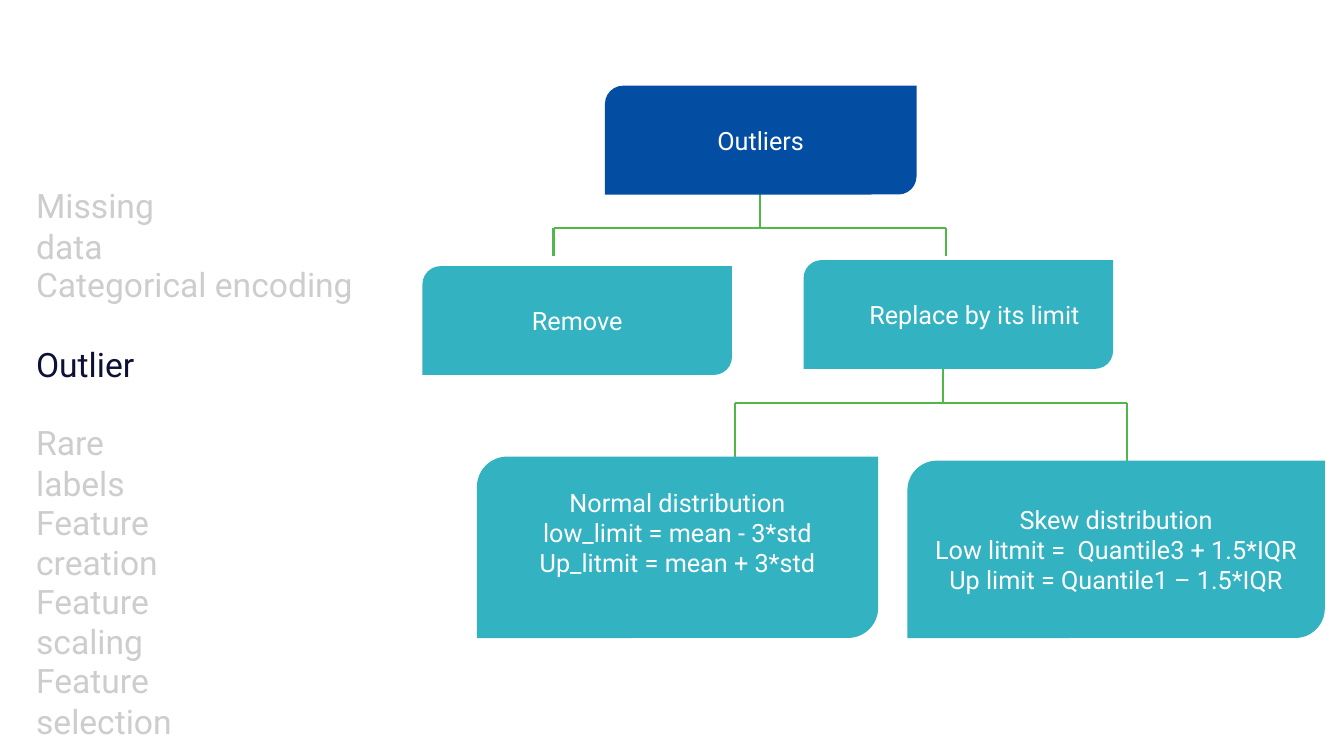
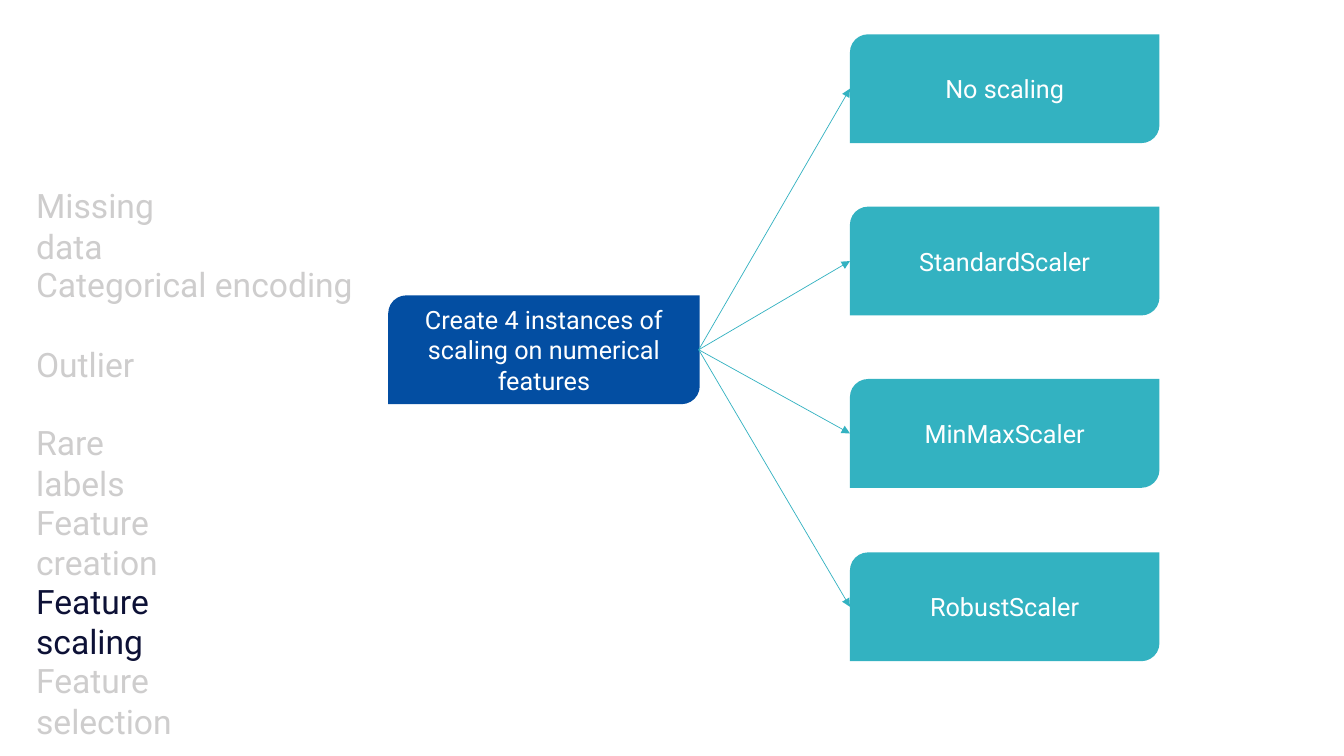
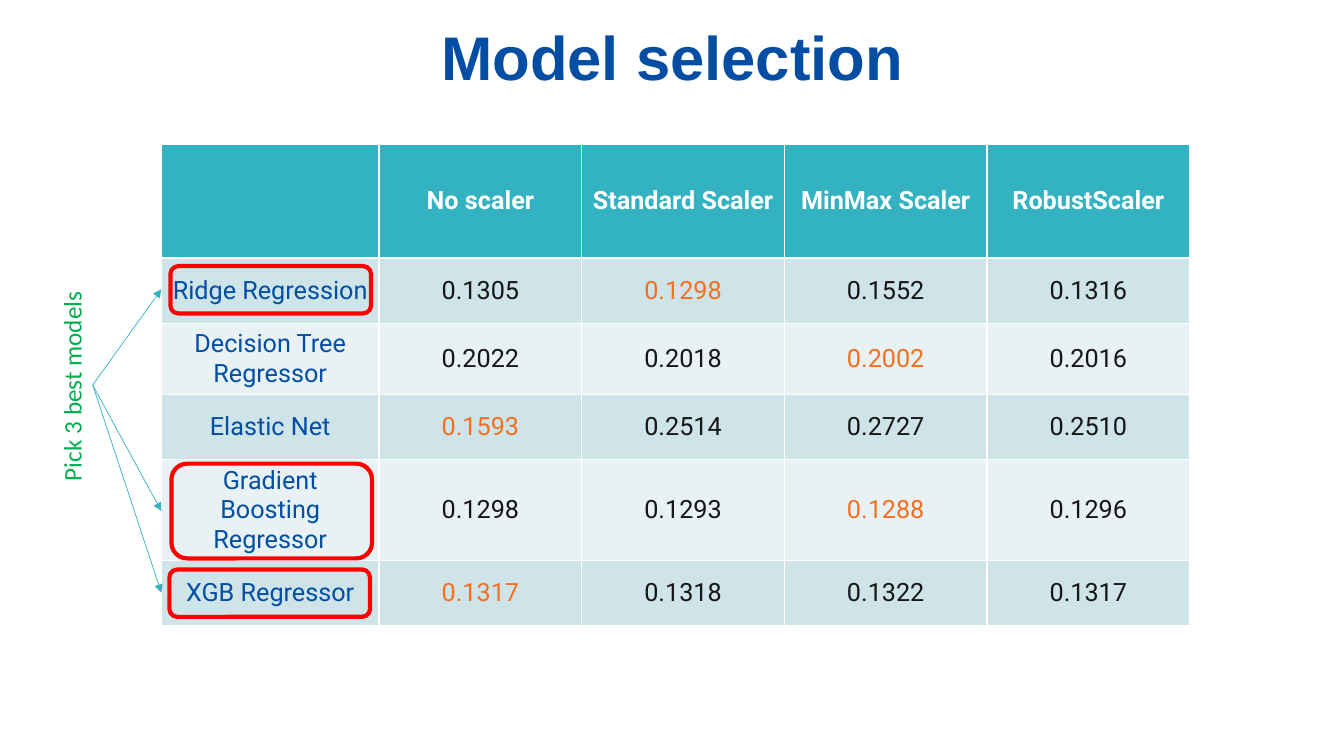
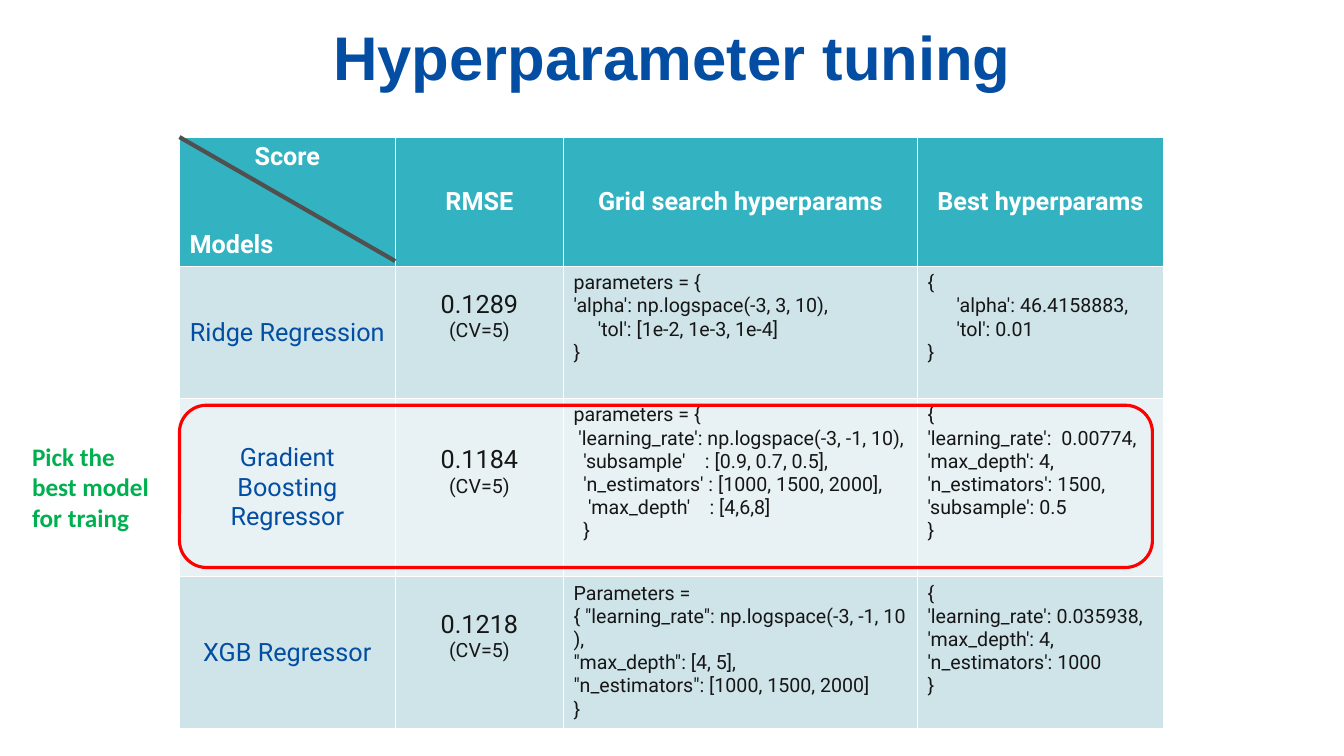
from lxml.etree import SubElement
from pptx import Presentation
from pptx.dml.color import RGBColor
from pptx.enum.shapes import MSO_CONNECTOR as Link, MSO_SHAPE as Form
from pptx.enum.text import MSO_ANCHOR as Anchor, PP_ALIGN as Align
from pptx.oxml.ns import qn
from pptx.util import Pt

SCALE = 9144
HUES = {
    "navy": "034EA2", "teal": "33B2C1", "leaf": "50B848", "green": "00B050",
    "red": "FF0000", "pale": "CECDCD", "dark": "0D1136", "ink": "171616",
    "gold": "F37021", "slate": "524F4F", "white": "FFFFFF",
    "odd": "CEE4E9", "even": "E8F2F4",
}
STEPS = ["Missing data", "Categorical encoding", "Outlier", "Rare labels",
         "Feature creation", "Feature scaling", "Feature selection"]
SCORES = [
    ["", "No scaler", "Standard Scaler", "MinMax Scaler", "RobustScaler"],
    ["Ridge Regression", "0.1305", "0.1298", "0.1552", "0.1316"],
    ["Decision Tree Regressor", "0.2022", "0.2018", "0.2002", "0.2016"],
    ["Elastic Net", "0.1593", "0.2514", "0.2727", "0.2510"],
    ["Gradient Boosting Regressor", "0.1298", "0.1293", "0.1288", "0.1296"],
    ["XGB Regressor", "0.1317", "0.1318", "0.1322", "0.1317"],
]
TUNING = [
    ["Score\nModels", "RMSE", "Grid search hyperparams", "Best hyperparams"],
    ["Ridge Regression", "0.1289\n(CV=5)", """parameters = {
'alpha': np.logspace(-3, 3, 10),
     'tol': [1e-2, 1e-3, 1e-4]
}""", """{
      'alpha': 46.4158883,
      'tol': 0.01
}"""],
    ["Gradient Boosting Regressor", "0.1184\n(CV=5)", """parameters = {
 'learning_rate': np.logspace(-3, -1, 10),
  'subsample'    : [0.9, 0.7, 0.5],
  'n_estimators' : [1000, 1500, 2000],
   'max_depth'    : [4,6,8]
  }""", """{
'learning_rate':  0.00774,
'max_depth': 4,
'n_estimators': 1500,
'subsample': 0.5
}"""],
    ["XGB Regressor", "0.1218\n(CV=5)", """Parameters =
{ "learning_rate": np.logspace(-3, -1, 10
),
"max_depth": [4, 5],
"n_estimators": [1000, 1500, 2000]
}""", """{
'learning_rate': 0.035938,
'max_depth': 4,
'n_estimators': 1000
}"""],
]


def px(*nums):
    return [round(num * SCALE) for num in nums]


def tint(name):
    return RGBColor.from_string(HUES[name])


def style(item, form):
    for key, val in form.items():
        setattr(item, key, val)


def write(frame, text, hue, size=18, face="Roboto", bold=False, align=Align.CENTER):
    frame.text = text
    for para in frame.paragraphs:
        para.alignment = align
        for run in para.runs:
            style(run.font, {"name": face, "size": Pt(size), "bold": bold})
            run.font.color.rgb = tint(hue)


def label(slide, area, text, hue, form=None, **kind):
    box = slide.shapes.add_textbox(*px(*area))
    style(box.text_frame, {"word_wrap": True, **(form or {})})
    write(box.text_frame, text, hue, **kind)
    return box


def title(slide, text):
    box = label(slide, (92, 21, 1150, 78), text, "navy",
                {"vertical_anchor": Anchor.MIDDLE}, size=44, face="Arial", bold=True)
    box.text_frame.paragraphs[0].line_spacing = 0.9


def menu(slide, now):
    for row, step in enumerate(STEPS):
        wide = 336 if step == "Categorical encoding" else 165
        label(slide, (26, 179 + row * 157 // 2, wide, 50), step,
              "dark" if step == now else "pale", size=24, align=Align.LEFT)


def card(slide, area, text, hue="teal", form=None):
    box = slide.shapes.add_shape(Form.ROUND_2_DIAG_RECTANGLE, *px(*area))
    box.shadow.inherit = False
    box.fill.solid()
    box.fill.fore_color.rgb = tint(hue)
    box.line.fill.background()
    style(box.text_frame, {"word_wrap": True, "vertical_anchor": Anchor.MIDDLE,
                           **(form or {})})
    write(box.text_frame, text, "white")


def ring(slide, area, width):
    box = slide.shapes.add_shape(Form.ROUNDED_RECTANGLE, *px(*area))
    box.shadow.inherit = False
    box.fill.background()
    box.line.color.rgb = tint("red")
    box.line.width = Pt(width)


def line(slide, start, end, hue, width, head=False):
    link = slide.shapes.add_connector(Link.STRAIGHT, *px(*start, *end))
    link.line.color.rgb = tint(hue)
    link.line.width = Pt(width)
    if head:
        SubElement(link.line._get_or_add_ln(), qn("a:tailEnd"), type="triangle")
    SubElement(link._element.spPr, qn("a:effectLst"))


def fan(slide, start, ends):
    for end in ends:
        line(slide, start, end, "teal", 0.5, True)


def fork(slide, left, right, rail, stem, top, base):
    for start, end in [((left, rail), (right, rail)), ((stem, top), (stem, rail)),
                       ((left, rail), (left, base)), ((right, rail), (right, base))]:
        line(slide, start, end, "leaf", 1.5)


def grid(slide, spot, cols, rows, data, paint):
    area = px(*spot, sum(cols), sum(rows))
    table = slide.shapes.add_table(len(rows), len(cols), *area).table
    for col, wide in zip(table.columns, px(*cols)):
        col.width = wide
    for row, tall in zip(table.rows, px(*rows)):
        row.height = tall
    for y, vals in enumerate(data):
        for x, text in enumerate(vals):
            cell = table.cell(y, x)
            cell.fill.solid()
            cell.fill.fore_color.rgb = tint("teal" if y == 0 else "odd" if y % 2 else "even")
            cell.vertical_anchor = Anchor.MIDDLE
            if y == 0:
                write(cell.text_frame, text, "white", bold=True)
            elif x == 0:
                write(cell.text_frame, text, "navy")
            else:
                paint(cell, x, vals)
    return table


def score(cell, x, vals):
    best = vals.index(min(vals[1:]), 1)
    write(cell.text_frame, vals[x], "gold" if x == best else "ink")


def tune(cell, x, vals):
    if x == 1:
        write(cell.text_frame, vals[x], "ink")
        cell.text_frame.paragraphs[1].runs[0].font.size = Pt(14)
        cell.margin_bottom = px(37)[0]
    else:
        write(cell.text_frame, vals[x], "ink", size=14, align=Align.LEFT)
        cell.vertical_anchor = Anchor.TOP


def limits(slide):
    menu(slide, "Outlier")
    fork(slide, 549, 938, 226, 754, 192, 254)
    fork(slide, 729, 1118, 400, 935, 366, 457)
    card(slide, (600, 85, 309, 108), "Outliers", "navy")
    card(slide, (419, 264, 307, 108), "Remove")
    card(slide, (797, 258, 307, 108), "Replace by its limit",
         form={"margin_left": px(60)[0]})
    for para in slide.shapes[-1].text_frame.paragraphs:
        para.alignment = Align.LEFT
    card(slide, (473, 453, 398, 180),
         "Normal distribution\nlow_limit = mean - 3*std\nUp_litmit = mean + 3*std",
         form={"margin_bottom": px(34)[0]})
    card(slide, (900, 457, 414, 176),
         "Skew distribution\nLow litmit =  Quantile3 + 1.5*IQR\nUp limit = Quantile1 – 1.5*IQR")


def scaling(slide):
    menu(slide, "Feature scaling")
    card(slide, (385, 293, 309, 108),
         "Create 4 instances of scaling on numerical features", "navy")
    names = ["No scaling", "StandardScaler", "MinMaxScaler", "RobustScaler"]
    tops = [34 + row * 514 // 3 for row in range(len(names))]
    for top, name in zip(tops, names):
        card(slide, (843, top, 307, 108), name)
    fan(slide, (693, 347), [(843, top + 54) for top in tops])


def models(slide):
    title(slide, "Model selection")
    grid(slide, (160, 143), [216] + [201] * 4, [113, 65, 69, 65, 98, 65], SCORES, score)
    for left, top, tall in [(169, 264, 47), (170, 460, 94), (168, 565, 47)]:
        ring(slide, (left, top, 199, tall), 3)
    note = label(slide, (-34, 362, 210, 40), "Pick 3 best models", "green",
                 {"word_wrap": False}, face="Calibri", align=Align.LEFT)
    note.rotation = 270
    fan(slide, (92, 382), [(160, y) for y in (287, 507, 588)])


def tuning(slide):
    title(slide, "Hyperparameter tuning")
    table = grid(slide, (178, 136), [214, 167, 351, 244], [127, 131, 177, 148], TUNING, tune)
    corner = table.cell(0, 0)
    corner.vertical_anchor = Anchor.TOP
    style(corner.text_frame.paragraphs[1],
          {"alignment": Align.LEFT, "space_before": Pt(42)})
    line(slide, (392, 259), (178, 136), "slate", 3)
    ring(slide, (178, 402, 965, 161), 2.25)
    label(slide, (22, 433, 144, 101), "Pick the best model for traing", "green",
          face="Calibri", bold=True, align=Align.LEFT)


def main():
    deck = Presentation()
    style(deck, dict(zip(("slide_width", "slide_height"), px(1333, 750))))
    for build in (limits, scaling, models, tuning):
        build(deck.slides.add_slide(deck.slide_layouts[6]))
    deck.save("out.pptx")


if __name__ == "__main__":
    main()
